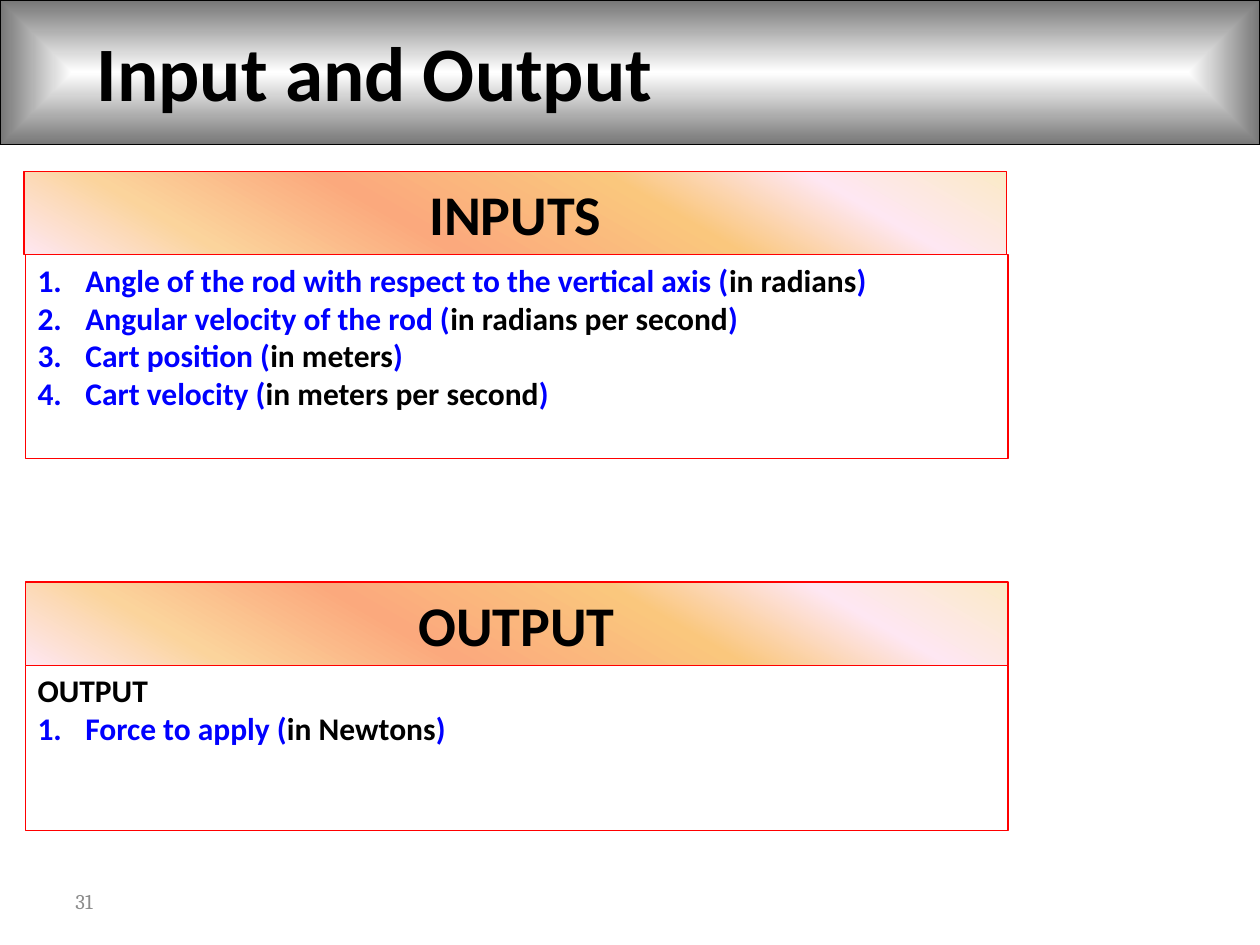
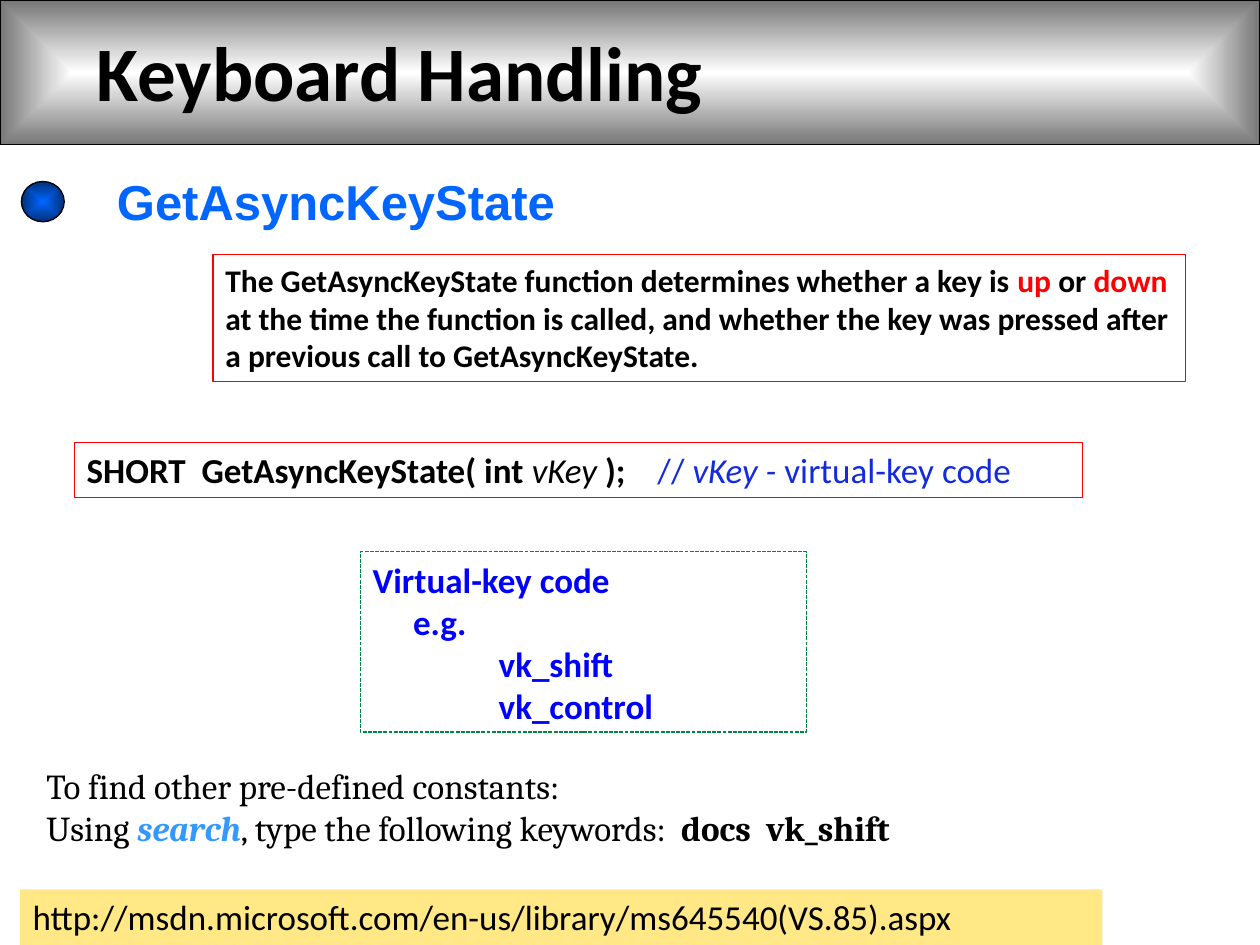
from lxml.etree import SubElement
from pptx import Presentation
from pptx.dml.color import RGBColor
from pptx.enum.dml import MSO_LINE_DASH_STYLE as Dash
from pptx.enum.shapes import MSO_SHAPE as Shape
from pptx.enum.text import MSO_ANCHOR as Anchor, PP_ALIGN as Align
from pptx.oxml.ns import qn
from pptx.util import Inches, Pt

# Shared colours and text styles
BLACK, RED, BLUE, GREEN = "000000", "FF0000", "0000FF", "00863D"
SKY, BRIGHT, COMMENT, GREY, SAND = "0066FF", "3399FF", "132BDD", "8C8C8C", "FFE885"
BAND_STOPS = [(0, "FFFFFF"), (100, "767676")]
BALL_STOPS = [(0, SKY), (100, "002F76")]
SUNRISE_STOPS = [(0, "FBEAC7"), (18, "FEE7F2"), (36, "FAC77D"),
                 (61, "FBA97D"), (82, "FBD49C"), (100, "FEE7F2")]

TITLE = dict(name="Calibri", size=Pt(44), bold=True, color=BLACK)
HEADER = dict(TITLE, size=Pt(32))
BODY = dict(TITLE, size=Pt(18))
CODE = dict(TITLE, size=Pt(20))
LINK = dict(CODE, bold=False)
TOPIC = dict(name="Arial", size=Pt(28), bold=True, color=SKY)
HINT = dict(name="Cambria", size=Pt(20), bold=False, color=BLACK)
NUMBER = dict(HINT, size=Pt(12), color=GREY)


def rgb(hex_color):
    return RGBColor.from_string(hex_color)


def set_font(font, style):
    for attribute, value in style.items():
        if attribute == "color":
            font.color.rgb = rgb(value)
        else:
            setattr(font, attribute, value)


def para(*runs, indent=0, numbered=False, tab=None, align=None):
    """Describe a paragraph; a run is a string or (string, style changes)."""
    return dict(runs=runs, indent=indent, numbered=numbered, tab=tab, align=align)


def fill_text(frame, paragraphs, style, anchor=Anchor.TOP):
    frame.word_wrap = True
    frame.vertical_anchor = anchor
    for index, item in enumerate(paragraphs):
        line = frame.add_paragraph() if index else frame.paragraphs[0]
        line.alignment = item["align"] or Align.LEFT
        props = line._p.get_or_add_pPr()
        if item["indent"]:
            props.set("marL", str(Inches(item["indent"])))
        if item["numbered"]:
            props.set("indent", str(-Inches(item["indent"])))
            SubElement(props, qn("a:buAutoNum"), type="arabicPeriod")
        if item["tab"]:
            tabs = SubElement(props, qn("a:tabLst"))
            SubElement(tabs, qn("a:tab"), pos=str(Inches(item["tab"])), algn="l")
        for piece in item["runs"]:
            text, changes = (piece, {}) if isinstance(piece, str) else piece
            run = line.add_run()
            run.text = text
            set_font(run.font, {**style, **changes})


def set_gradient(shape, stops, angle=None):
    """Linear at the given angle, or spreading from the centre without one."""
    shape.fill.gradient()
    gradient = shape._element.spPr.find(qn("a:gradFill"))
    for child in list(gradient):
        gradient.remove(child)
    stop_list = SubElement(gradient, qn("a:gsLst"))
    for position, color in stops:
        stop = SubElement(stop_list, qn("a:gs"), pos=str(position * 1000))
        SubElement(stop, qn("a:srgbClr"), val=color)
    if angle is None:
        route = SubElement(gradient, qn("a:path"), path="shape")
        SubElement(route, qn("a:fillToRect"), {side: "50000" for side in "ltrb"})
    else:
        SubElement(gradient, qn("a:lin"), ang=str(angle * 60000), scaled="0")


def add_box(slide, place, line=None, fill=None, dash=None, kind=Shape.RECTANGLE):
    box = slide.shapes.add_shape(kind, *map(Inches, place))
    box.shadow.inherit = False
    if fill:
        box.fill.solid()
        box.fill.fore_color.rgb = rgb(fill)
    else:
        box.fill.background()
    if line:
        box.line.color.rgb = rgb(line)
        box.line.width = Pt(0.75)
        if dash:
            box.line.dash_style = dash
    else:
        box.line.fill.background()
    return box


def add_text(slide, place, paragraphs, style, anchor=Anchor.TOP):
    label = slide.shapes.add_textbox(*map(Inches, place))
    fill_text(label.text_frame, paragraphs, style, anchor)


def add_titled_slide(deck, title):
    slide = deck.slides.add_slide(deck.slide_layouts[6])
    set_gradient(add_box(slide, (0, 0, 10, 1.15), BLACK), BAND_STOPS)
    add_text(slide, (0.67, 0, 7.16, 1.13), [para(title)], TITLE, Anchor.MIDDLE)
    return slide


def add_panel(slide, header, left, top, body_height, paragraphs):
    """A sunrise header standing on a red-edged list."""
    body = add_box(slide, (0.2, top + 0.66, 7.8, body_height), RED)
    fill_text(body.text_frame, paragraphs, BODY)
    heading = add_box(slide, (left, top, 7.8, 0.66), RED)
    set_gradient(heading, SUNRISE_STOPS, angle=120)
    fill_text(heading.text_frame, [para(header, align=Align.CENTER)], HEADER,
              Anchor.MIDDLE)


def quantity(name, unit):
    blue = dict(color=BLUE)
    return para((f"{name} (", blue), f"in {unit}", (")", blue),
                indent=0.38, numbered=True)


def build_input_output(deck):
    slide = add_titled_slide(deck, "Input and Output")
    add_text(slide, (0.5, 6.95, 2.33, 0.4), [para("31")], NUMBER, Anchor.MIDDLE)
    add_panel(slide, "INPUTS", 0.19, 1.36, 1.62, [
        quantity("Angle of the rod with respect to the vertical axis", "radians"),
        quantity("Angular velocity of the rod", "radians per second"),
        quantity("Cart position", "meters"),
        quantity("Cart velocity", "meters per second"),
    ])
    add_panel(slide, "OUTPUT", 0.2, 4.62, 1.31, [
        para("OUTPUT"),
        quantity("Force to apply", "Newtons"),
    ])


def build_keyboard_handling(deck):
    slide = add_titled_slide(deck, "Keyboard Handling")

    # Topic with its ball
    add_text(slide, (0.83, 1.31, 6.69, 0.57), [para("GetAsyncKeyState")], TOPIC)
    ball = add_box(slide, (0.17, 1.44, 0.34, 0.32), BLACK, kind=Shape.OVAL)
    set_gradient(ball, BALL_STOPS)

    # What the function does
    red = dict(color=RED)
    purpose = add_box(slide, (1.69, 2.02, 7.72, 1.01), RED)
    fill_text(purpose.text_frame, [para(
        "The GetAsyncKeyState function determines whether a key is ",
        ("up ", red), "or ", ("down", red),
        " at the time the function is called, and whether the key was pressed "
        "after a previous call to GetAsyncKeyState.")], BODY)

    # Where to find more constants
    add_text(slide, (0.27, 6.02, 9.18, 0.77), [
        para("To find other pre-defined constants:"),
        para("Using ", ("search", dict(color=BRIGHT, bold=True, italic=True)),
             ", type the following keywords:  ",
             ("docs  vk_shift", dict(bold=True))),
    ], HINT)

    # Key code examples
    key_codes = add_box(slide, (2.86, 4.38, 3.54, 1.43), GREEN,
                        dash=Dash.SQUARE_DOT)
    fill_text(key_codes.text_frame, [
        para("Virtual-key code"),
        para("e.g.", indent=0.32),
        para("vk_shift", indent=1),
        para("vk_control", indent=1),
    ], dict(CODE, color=BLUE))

    # Signature
    remark = dict(color=COMMENT, bold=False)
    signature = add_box(slide, (0.59, 3.51, 8, 0.44), RED)
    fill_text(signature.text_frame, [para(
        "SHORT  GetAsyncKeyState( int ", ("vKey ", dict(bold=False, italic=True)),
        ");\t", ("// ", remark), ("vKey -", dict(remark, italic=True)),
        (" virtual-key code", remark), tab=4.53)], CODE, Anchor.MIDDLE)

    # Reference
    reference = add_box(slide, (0.16, 7.06, 8.59, 0.44), fill=SAND)
    fill_text(reference.text_frame, [para(
        "http://msdn.microsoft.com/en-us/library/ms645540(VS.85).aspx")], LINK)


def main():
    deck = Presentation()
    deck.slide_width, deck.slide_height = Inches(10), Inches(7.5)
    build_input_output(deck)
    build_keyboard_handling(deck)
    deck.save("out.pptx")


if __name__ == "__main__":
    main()
